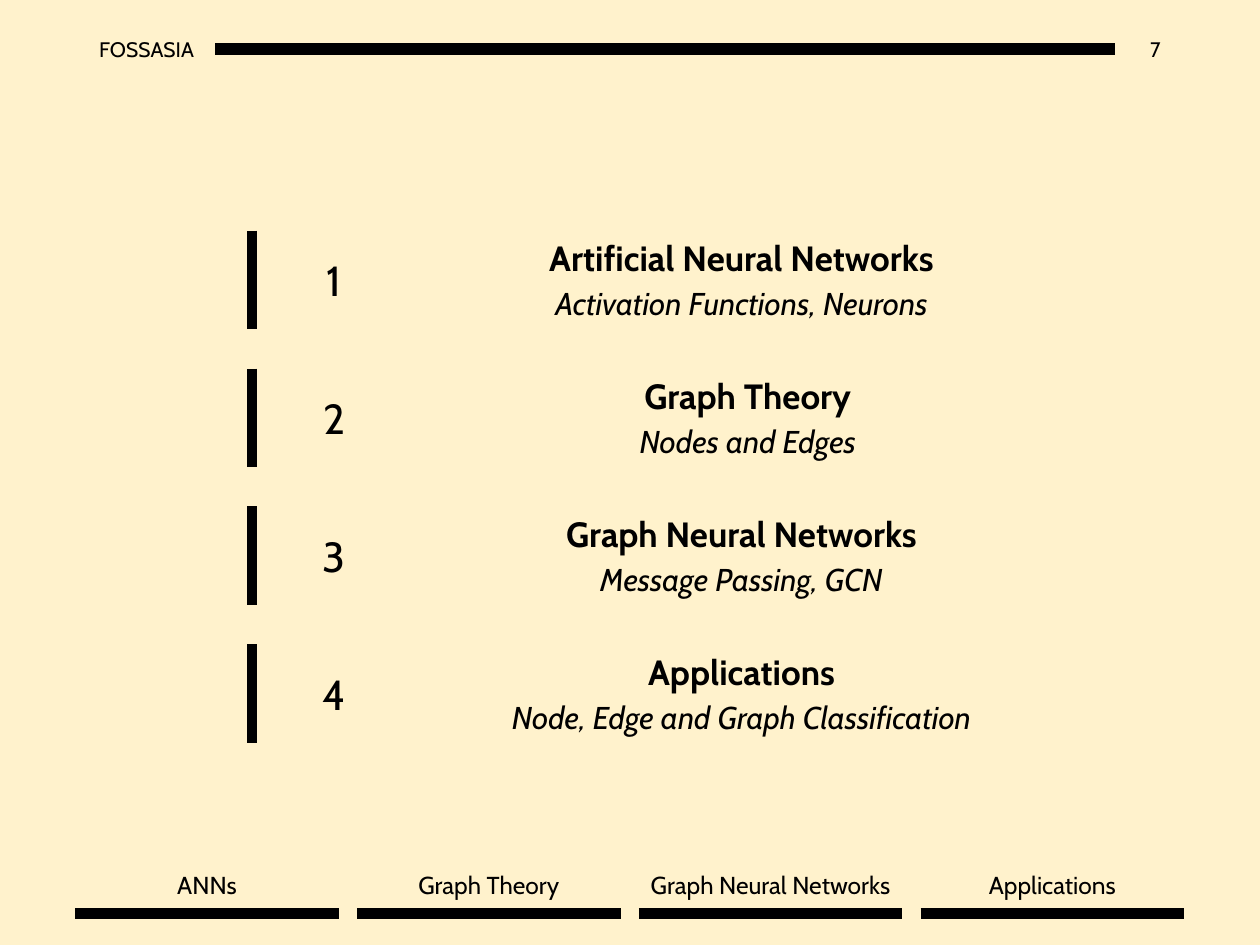
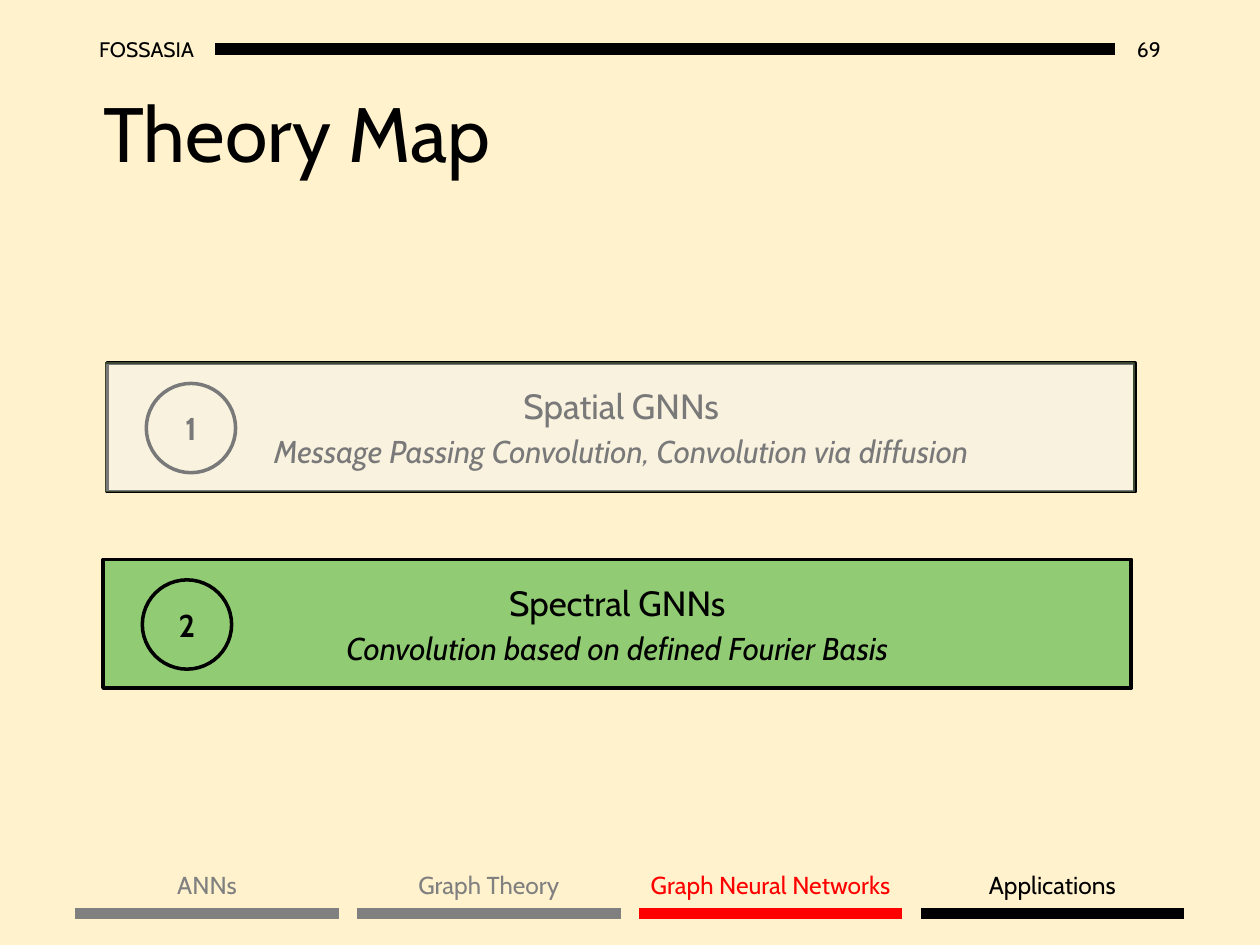
from lxml.etree import SubElement as Sub
from pptx import Presentation
from pptx.dml.color import RGBColor as Rgb
from pptx.enum.shapes import MSO_CONNECTOR as Link, MSO_SHAPE as Form
from pptx.enum.text import MSO_ANCHOR as Anchor, MSO_AUTO_SIZE as Fit, PP_ALIGN as Align
from pptx.oxml.ns import qn
from pptx.util import Cm, Pt

HUES = {"paper": "FFF2CC", "ink": "000000", "past": "808080", "now": "FF0000",
        "green": "25A61C", "veil": "F2F2F2", "edge": "3D4831"}
FONT = "Cabin"
PARTS = ["ANNs", "Graph Theory", "Graph Neural Networks", "Applications"]
# Heading, subheading, width of the text
TOPICS = [
    ("Artificial Neural Networks", "Activation Functions, Neurons", 13.44),
    ("Graph Theory", "Nodes and Edges", 13.69),
    ("Graph Neural Networks", "Message Passing, GCN", 13.44),
    ("Applications", "Node, Edge and Graph Classification", 13.44),
]


def color(name):
    return Rgb.from_string(HUES[name])


def write(frame, text, size=18, hue="ink", bold=False, italic=False,
          align=Align.CENTER, before=3, lines=None):
    """Add one paragraph to the frame; the first gets no space before."""
    para = frame.paragraphs[0]
    if para.runs:
        para = frame.add_paragraph()
        para.space_before = Pt(before)
    para.alignment = align
    if lines:
        para.line_spacing = lines
    run = para.add_run()
    run.text = text
    font = run.font
    font.name, font.size = FONT, Pt(size)
    font.bold, font.italic = bold, italic
    font.color.rgb = color(hue)


class Deck:
    def __init__(self):
        self.prs = Presentation()
        self.prs.slide_width, self.prs.slide_height = Cm(25.4), Cm(19.05)
        back = self.prs.slide_master.background.fill
        back.solid()
        back.fore_color.rgb = color("paper")
        self.slide = None

    def start(self, page, hues, title=None):
        """Open a slide with its header, footer and perhaps a title."""
        layout = self.prs.slide_layouts[5 if title else 6]
        self.slide = self.prs.slides.add_slide(layout)
        if title:
            self.title(title)
        self.header(page)
        self.footer(hues)

    def title(self, text):
        head = self.slide.shapes.title
        head.left, head.top = Cm(1.83), Cm(1.8)
        head.width, head.height = Cm(18.34), Cm(3.58)
        frame = head.text_frame
        frame.auto_size, frame.vertical_anchor = Fit.NONE, Anchor.TOP
        write(frame, text, size=44, align=Align.LEFT, lines=0.9)

    def text(self, left, top, width, height, side=0.25, anchor=Anchor.TOP):
        box = self.slide.shapes.add_textbox(Cm(left), Cm(top), Cm(width), Cm(height))
        frame = box.text_frame
        frame.word_wrap, frame.vertical_anchor = True, anchor
        frame.margin_left = frame.margin_right = Cm(side)
        return box

    def line(self, left, top, right, low, weight=6, hue="ink"):
        bar = self.slide.shapes.add_connector(
            Link.STRAIGHT, Cm(left), Cm(top), Cm(right), Cm(low))
        bar.line.width = Pt(weight)
        bar.line.color.rgb = color(hue)
        Sub(bar._element.spPr, qn("a:effectLst"))
        return bar

    def shape(self, form, left, top, width, height, weight, edge="ink", fill=None):
        """Draw an outline; a fill, if given, is half transparent."""
        item = self.slide.shapes.add_shape(form, Cm(left), Cm(top), Cm(width), Cm(height))
        item.shadow.inherit = False
        item.line.width = Pt(weight)
        item.line.color.rgb = color(edge)
        if fill:
            item.fill.solid()
            item.fill.fore_color.rgb = color(fill)
            tint = item._element.spPr.find(".//" + qn("a:srgbClr"))
            Sub(tint, qn("a:alpha"), val="50000")
        else:
            item.fill.background()
        item.text_frame.vertical_anchor = Anchor.MIDDLE
        return item.text_frame

    def header(self, page):
        name = self.text(1.75, 0.48, 2.59, 1.02, anchor=Anchor.MIDDLE)
        write(name.text_frame, "FOSSASIA", size=12, align=Align.LEFT)
        count = self.text(22.48, 0.48, 1.17, 1.02, anchor=Anchor.MIDDLE)
        write(count.text_frame, str(page), size=12, align=Align.RIGHT)
        rule = self.line(4.34, 0.99, 22.48, 0.99, weight=7)
        rule.begin_connect(name, 3)
        rule.end_connect(count, 1)

    def footer(self, hues):
        wide, step = 5.31, 5.68
        for i, (part, hue) in enumerate(zip(PARTS, hues)):
            left = 1.52 + i * step
            self.line(left, 18.42, left + wide, 18.42, hue=hue)
            label = self.text(left, 17.42, wide, 0.86, side=0)
            write(label.text_frame, part, size=14, hue=hue)

    def topic(self, top, number, head, sub, width):
        self.line(5.08, top, 5.08, top + 1.99)
        mark = self.text(6.14, top + 0.36, 1.2, 1.27, side=0)
        write(mark.text_frame, str(number), size=24)
        body = self.text(8.23, top, width, 1.99).text_frame
        write(body, head, size=20, bold=True)
        write(body, sub, italic=True)

    def card(self, left, top, number, head, sub):
        frame = self.shape(Form.RECTANGLE, left, top, 20.73, 2.59, 2.25)
        write(frame, head, size=20)
        write(frame, sub, italic=True)
        ring = self.shape(Form.OVAL, left + 0.79, top + 0.41, 1.8, 1.8, 2)
        write(ring, str(number), bold=True)

    def veil(self, left, top, fill):
        self.shape(Form.RECTANGLE, left, top, 20.73, 2.59, 1, edge="edge", fill=fill)


def main():
    deck = Deck()

    # Outline of the talk
    deck.start(7, ["ink"] * 4)
    for i, topic in enumerate(TOPICS):
        deck.topic(4.65 + i * 2.78, i + 1, *topic)

    # Theory map: first branch veiled, second one lit
    deck.start(69, ["past", "past", "now", "ink"], title="Theory Map")
    deck.veil(2.08, 11.3, "green")
    deck.card(2.16, 7.32, 1, "Spatial GNNs",
              "Message Passing Convolution, Convolution via diffusion")
    deck.card(2.08, 11.28, 2, "Spectral GNNs",
              "Convolution based on defined Fourier Basis")
    deck.veil(2.13, 7.32, "veil")

    deck.prs.save("out.pptx")


if __name__ == "__main__":
    main()
